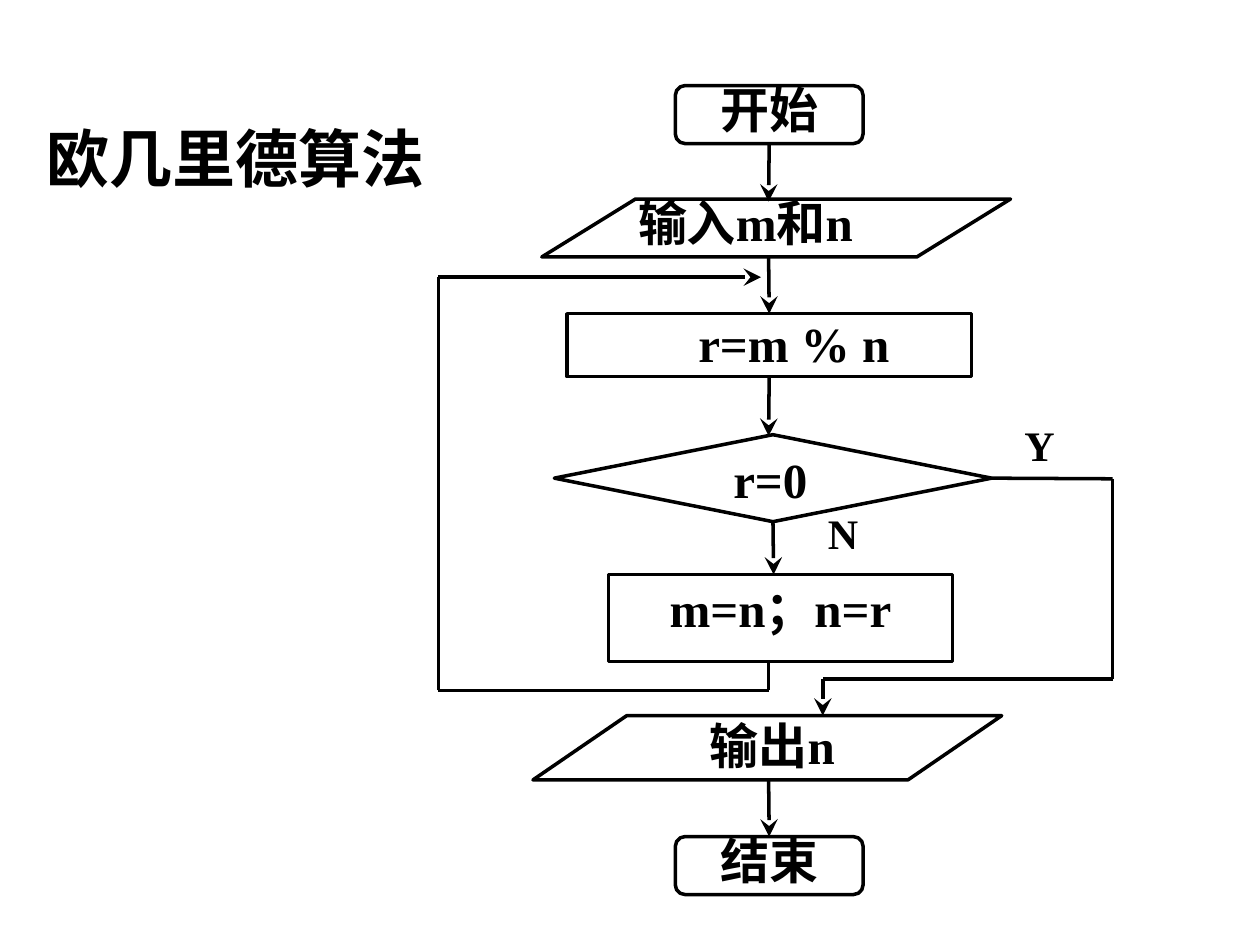
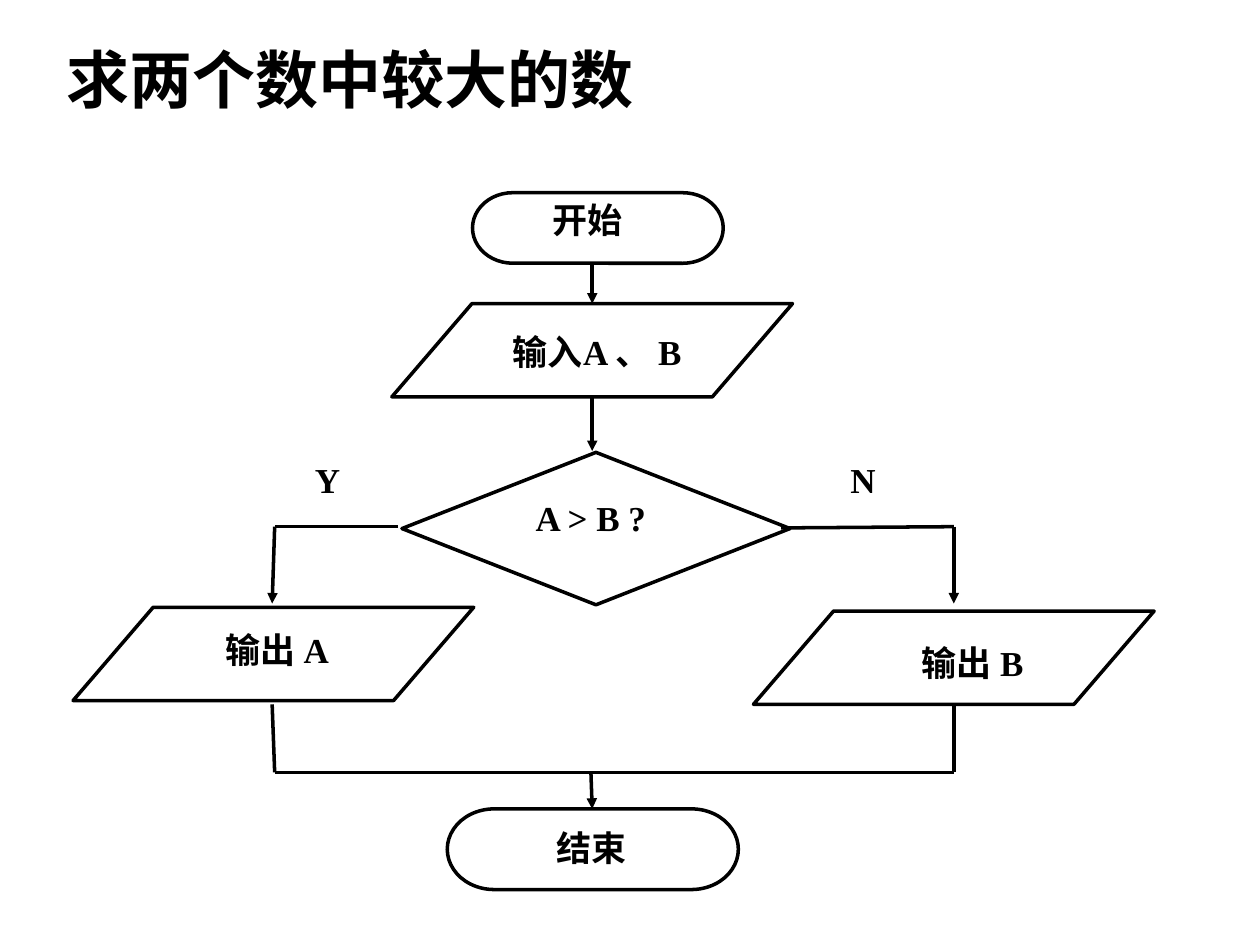
from dataclasses import dataclass

from lxml import etree
from pptx import Presentation
from pptx.dml.color import RGBColor
from pptx.enum.shapes import MSO_CONNECTOR, MSO_SHAPE
from pptx.enum.text import MSO_ANCHOR, MSO_AUTO_SIZE, PP_ALIGN
from pptx.oxml.ns import qn
from pptx.util import Inches, Pt

BLACK = RGBColor(0x00, 0x00, 0x00)
LINE_WIDTH = Pt(2)
SERIF = "Times New Roman"
MONO = "Courier New"
CJK = "Noto Sans CJK SC"
TITLE_FONT = "Calibri"
TITLE_SIZE = 36

ROUNDED = MSO_SHAPE.FLOWCHART_ALTERNATE_PROCESS
TERMINATOR = MSO_SHAPE.FLOWCHART_TERMINATOR
IN_OUT = MSO_SHAPE.FLOWCHART_DATA
PROCESS = MSO_SHAPE.FLOWCHART_PROCESS
DECISION = MSO_SHAPE.FLOWCHART_DECISION
STRAIGHT = MSO_CONNECTOR.STRAIGHT
LEFT, CENTER = PP_ALIGN.LEFT, PP_ALIGN.CENTER
TOP, MIDDLE = MSO_ANCHOR.TOP, MSO_ANCHOR.MIDDLE
FIT_SHAPE, FIT_NONE = MSO_AUTO_SIZE.SHAPE_TO_FIT_TEXT, MSO_AUTO_SIZE.NONE

DEFAULT_INSETS = (0.1, 0.05, 0.1, 0.05)
NO_INSETS = (0, 0, 0, 0)
TIGHT = (0.06, 0, 0.06, 0)
SITE_TOP, SITE_BOTTOM, SITE_RIGHT = 0, 2, 3
STEALTH = {"type": "stealth", "w": "lg", "len": "lg"}
TRIANGLE = {"type": "triangle"}


@dataclass(frozen=True)
class Text:
    runs: tuple[tuple[str, str], ...]
    size: int
    align: PP_ALIGN = CENTER
    spacing: float = 1.0
    insets: tuple[float, float, float, float] = DEFAULT_INSETS
    anchor: MSO_ANCHOR = TOP
    fit: bool = False


@dataclass(frozen=True)
class Box:
    key: str
    at: tuple[float, float, float, float]
    kind: MSO_SHAPE | None = None
    text: Text | None = None


@dataclass(frozen=True)
class Route:
    points: tuple[tuple[float, float], ...]
    head: dict[str, str] | None = None
    begin: tuple[str, int] | None = None
    end: tuple[str, int] | None = None


def node_text(words: str, spacing: float = 1.0, insets: tuple = TIGHT,
              align: PP_ALIGN = CENTER) -> Text:
    return Text(((words, SERIF),), 28, align, spacing, insets)


def label(words: str, size: int) -> Text:
    return Text(((words, SERIF),), size, LEFT, insets=NO_INSETS)


def caption(*runs: tuple[str, str], align: PP_ALIGN = CENTER) -> Text:
    return Text(runs, 20, align, fit=True)


EUCLID_BOXES = (
    Box("start", (5.36, 0.68, 1.49, 0.46), ROUNDED, node_text("开始", 0.85)),
    Box("input", (4.3, 1.58, 3.72, 0.46), IN_OUT,
        node_text("输入m和n", 0.9, (0.02, 0, 0.02, 0), LEFT)),
    Box("remainder", (4.5, 2.49, 3.21, 0.5), PROCESS,
        node_text("r=m % n", insets=(0.41, 0, 0.02, 0))),
    Box("test", (4.4, 3.45, 3.47, 0.69), DECISION),
    Box("test label", (5.82, 3.57, 0.67, 0.37), text=label("r=0", 28)),
    Box("assign", (4.83, 4.56, 2.73, 0.69), PROCESS,
        node_text("m=n；n=r", 0.8, (0.1, 0.12, 0.1, 0))),
    Box("output", (4.23, 5.68, 3.72, 0.51), IN_OUT,
        node_text("输出n", insets=(0.14, 0, 0.06, 0))),
    Box("end", (5.36, 6.64, 1.49, 0.46), ROUNDED, node_text("结束", 0.85)),
    Box("no", (6.57, 4.03, 0.32, 0.38), text=label("N", 24)),
    Box("yes", (8.13, 3.33, 0.53, 0.38), text=label("Y", 24)),
    Box("title", (0.27, 0.9, 5.28, 0.7),
        text=Text((("欧几里德算法", SERIF),), TITLE_SIZE, LEFT, fit=True)),
)

EUCLID_ROUTES = (
    Route(((6.1, 1.14), (6.1, 1.6)), STEALTH, begin=("start", SITE_BOTTOM)),
    Route(((6.1, 2.04), (6.1, 2.49)), STEALTH, end=("remainder", SITE_TOP)),
    Route(((6.1, 2.99), (6.1, 3.46)), STEALTH, begin=("remainder", SITE_BOTTOM)),
    Route(((6.14, 4.14), (6.14, 4.56)), STEALTH, begin=("test", SITE_BOTTOM)),
    Route(((6.1, 6.18), (6.1, 6.64)), STEALTH, end=("end", SITE_TOP)),
    Route(((7.87, 3.8), (8.83, 3.8), (8.83, 5.39), (6.53, 5.39), (6.53, 5.68)),
          STEALTH, begin=("test", SITE_RIGHT)),
    Route(((6.1, 5.24), (6.1, 5.48), (3.48, 5.48), (3.48, 2.2), (6.04, 2.2)), STEALTH),
)

LARGER_BOXES = (
    Box("title", (0.43, 0, 9, 1.25),
        text=Text((("求两个数中较大的数", TITLE_FONT),), TITLE_SIZE, LEFT, anchor=MIDDLE)),
    Box("start", (3.75, 1.53, 1.99, 0.56), TERMINATOR),
    Box("input", (3.11, 2.41, 3.18, 0.74), IN_OUT),
    Box("test", (3.19, 3.59, 3.08, 1.21), DECISION,
        Text((("A > B ?", SERIF),), 20, LEFT, insets=(0.29, 0.05, 0.1, 0.05))),
    Box("output A", (0.58, 4.82, 3.18, 0.74), IN_OUT),
    Box("output B", (5.98, 4.85, 3.18, 0.74), IN_OUT),
    Box("end", (3.55, 6.42, 2.31, 0.64), TERMINATOR),
    Box("start label", (4.07, 1.53, 1.19, 0.43), text=caption(("开始", MONO))),
    Box("input label", (3.35, 2.57, 2.78, 0.77),
        text=caption(("输入", CJK), ("A ", SERIF), ("、 ", CJK), ("B", SERIF))),
    Box("output A label", (0.96, 4.94, 2.48, 0.43), text=caption(("输出 A", SERIF))),
    Box("output B label", (6.52, 5.04, 2.4, 0.43),
        text=caption(("输出 ", MONO), ("B", SERIF))),
    Box("end label", (3.98, 6.51, 1.43, 0.43), text=caption(("结束", MONO))),
    Box("yes", (2.4, 3.59, 0.6, 0.43), text=caption(("Y", SERIF), align=LEFT)),
    Box("no", (6.65, 3.59, 0.6, 0.43), text=caption(("N", SERIF), align=LEFT)),
)

LARGER_ROUTES = (
    Route(((4.7, 2.09), (4.7, 2.41)), TRIANGLE),
    Route(((4.7, 3.14), (4.7, 3.58)), TRIANGLE),
    Route(((3.16, 4.18), (2.18, 4.18), (2.16, 4.79)), TRIANGLE),
    Route(((6.2, 4.19), (7.57, 4.18), (7.57, 4.79)), TRIANGLE),
    Route(((2.16, 5.59), (2.18, 6.13), (7.57, 6.13), (7.57, 5.59))),
    Route(((4.69, 6.13), (4.7, 6.42)), TRIANGLE),
)


def write_text(sp, text: Text) -> None:
    tf = sp.text_frame
    tf.word_wrap = True
    tf.auto_size = FIT_SHAPE if text.fit else FIT_NONE
    tf.vertical_anchor = text.anchor
    tf.margin_left, tf.margin_top, tf.margin_right, tf.margin_bottom = map(Inches, text.insets)
    p = tf.paragraphs[0]
    p.alignment = text.align
    p.line_spacing = text.spacing
    p.font.size = Pt(text.size)
    p.font.bold = True
    p.font.color.rgb = BLACK
    if len(text.runs) == 1:
        p.font.name = text.runs[0][1]
    for words, font in text.runs:
        r = p.add_run()
        r.text = words
        if len(text.runs) > 1:
            r.font.name = font


def draw_box(s, box: Box):
    at = map(Inches, box.at)
    if box.kind is None:
        sp = s.shapes.add_textbox(*at)
    else:
        sp = s.shapes.add_shape(box.kind, *at)
        sp.shadow.inherit = False
        sp.fill.background()
        sp.line.color.rgb = BLACK
        sp.line.width = LINE_WIDTH
    if box.text:
        write_text(sp, box.text)
    return sp


def draw_route(s, route: Route, nodes: dict) -> None:
    lines = []
    for start, stop in zip(route.points, route.points[1:]):
        line = s.shapes.add_connector(STRAIGHT, *map(Inches, start + stop))
        line.line.color.rgb = BLACK
        line.line.width = LINE_WIDTH
        etree.SubElement(line._element.spPr, qn("a:effectLst"))
        lines.append(line)
    if route.head:
        ln = lines[-1]._element.spPr.find(qn("a:ln"))
        etree.SubElement(ln, qn("a:tailEnd"), route.head)
    if route.begin:
        key, site = route.begin
        lines[0].begin_connect(nodes[key], site)
    if route.end:
        key, site = route.end
        lines[-1].end_connect(nodes[key], site)


def draw_flowchart(prs, boxes: tuple[Box, ...], routes: tuple[Route, ...]) -> None:
    s = prs.slides.add_slide(prs.slide_layouts[6])
    nodes = {box.key: draw_box(s, box) for box in boxes}
    for route in routes:
        draw_route(s, route, nodes)


def main() -> None:
    prs = Presentation()
    prs.slide_width, prs.slide_height = Inches(10), Inches(7.5)
    draw_flowchart(prs, EUCLID_BOXES, EUCLID_ROUTES)
    draw_flowchart(prs, LARGER_BOXES, LARGER_ROUTES)
    prs.save("out.pptx")


if __name__ == "__main__":
    main()
